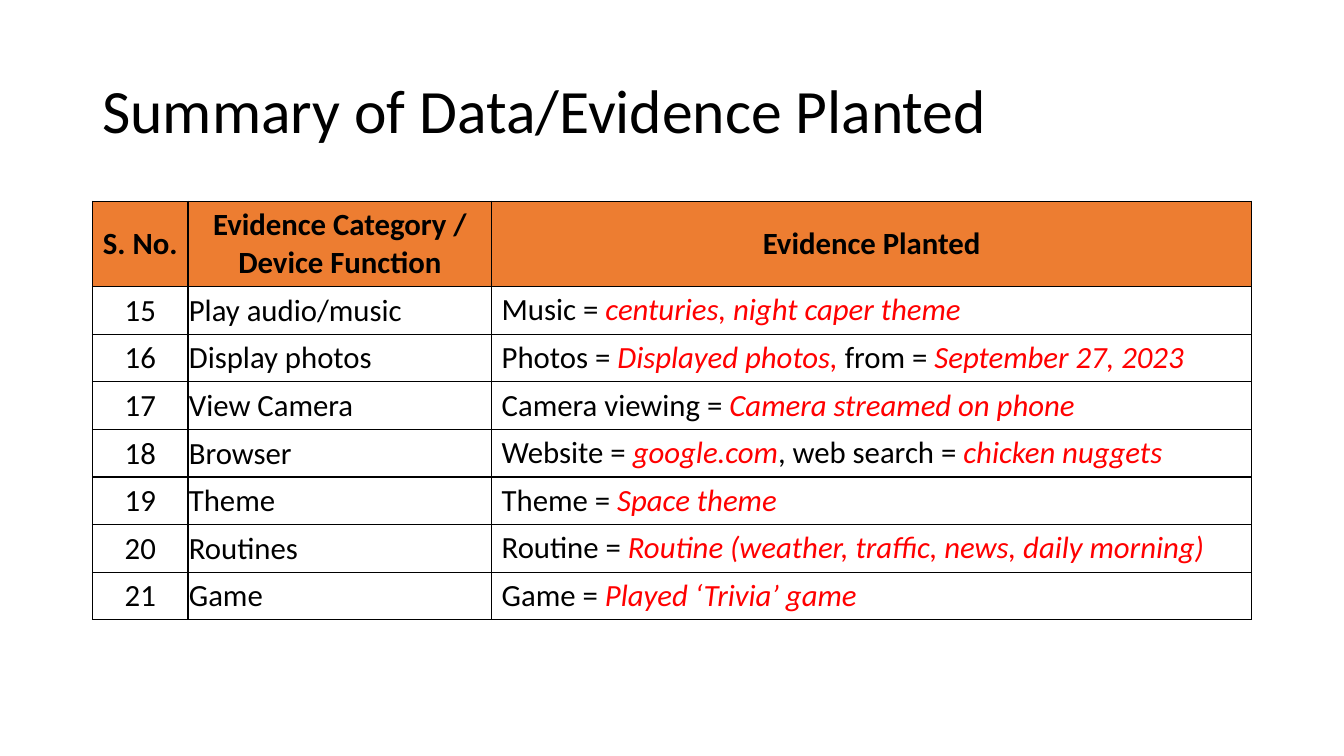
from dataclasses import dataclass

from lxml.etree import SubElement
from pptx import Presentation
from pptx.dml.color import RGBColor
from pptx.enum.text import MSO_ANCHOR, PP_ALIGN
from pptx.oxml.ns import qn
from pptx.util import Cm, Pt


@dataclass(frozen=True)
class Theme:
    font: str = "Calibri"
    title_size: int = 44
    table_size: int = 22
    text: str = "000000"
    planted: str = "FF0000"
    header: str = "ED7D31"
    border: str = "000000"


THEME = Theme()
COLUMN_WIDTHS = [2.41, 7.65, 19.15]
HEADER_HEIGHT = 2.15
ROW_HEIGHT = 1.2
FIRST_NUMBER = 15
HEADINGS = ["S. No.", "Evidence Category / Device Function", "Evidence Planted"]
EVIDENCE = [
    ("Play audio/music", ["Music =", " centuries, night caper theme"]),
    ("Display photos", ["Photos = ", "Displayed photos, ", "from = ", "September 27, 2023"]),
    ("View Camera", ["Camera viewing = ", "Camera streamed on phone"]),
    ("Browser", ["Website = ", "google.com", ", web search = ", "chicken nuggets"]),
    ("Theme", ["Theme = ", "Space theme"]),
    ("Routines", ["Routine = ", "Routine (weather, traffic, news, daily morning)"]),
    ("Game", ["Game = ", "Played ‘Trivia’ game"]),
]


def add_text(paragraph, text, size=THEME.table_size, color=THEME.text, bold=False, italic=False):
    run = paragraph.add_run()
    run.text = text
    run.font.name = THEME.font
    run.font.size = Pt(size)
    run.font.bold = bold
    run.font.italic = italic
    run.font.color.rgb = RGBColor.from_string(color)


def add_title(slide, text):
    box = slide.shapes.add_textbox(Cm(2.33), Cm(1.01), Cm(29.21), Cm(3.68))
    frame = box.text_frame
    frame.word_wrap = True
    frame.vertical_anchor = MSO_ANCHOR.MIDDLE
    paragraph = frame.paragraphs[0]
    paragraph.line_spacing = 0.9
    add_text(paragraph, text, size=THEME.title_size)


def set_borders(cell):
    properties = cell._tc.get_or_add_tcPr()
    for side in ("a:lnL", "a:lnR", "a:lnT", "a:lnB"):
        line = SubElement(properties, qn(side), w=str(Pt(1)))
        fill = SubElement(line, qn("a:solidFill"))
        SubElement(fill, qn("a:srgbClr"), val=THEME.border)


def fill_cell(cell, texts, align=PP_ALIGN.LEFT, anchor=MSO_ANCHOR.MIDDLE,
              bold=False, background=None, tight=False):
    set_borders(cell)
    if background:
        cell.fill.solid()
        cell.fill.fore_color.rgb = RGBColor.from_string(background)
    else:
        cell.fill.background()
    cell.vertical_anchor = anchor
    if tight:
        cell.margin_left = cell.margin_right = cell.margin_top = Cm(0.02)
        cell.margin_bottom = Cm(0)
    paragraph = cell.text_frame.paragraphs[0]
    paragraph.alignment = align
    for index, text in enumerate(texts):
        planted = index % 2 == 1
        color = THEME.planted if planted else THEME.text
        add_text(paragraph, text, color=color, bold=bold, italic=planted)


def add_evidence_table(slide):
    row_heights = [HEADER_HEIGHT] + [ROW_HEIGHT] * len(EVIDENCE)
    frame = slide.shapes.add_table(len(row_heights), len(HEADINGS), Cm(2.33), Cm(5.07),
                                   Cm(sum(COLUMN_WIDTHS)), Cm(sum(row_heights)))
    table = frame.table
    table.horz_banding = False
    for column, width in zip(table.columns, COLUMN_WIDTHS):
        column.width = Cm(width)
    for row, height in zip(table.rows, row_heights):
        row.height = Cm(height)
    for column, heading in enumerate(HEADINGS):
        fill_cell(table.cell(0, column), [heading], align=PP_ALIGN.CENTER,
                  bold=True, background=THEME.header)
    for row, (category, details) in enumerate(EVIDENCE, start=1):
        number = str(FIRST_NUMBER + row - 1)
        fill_cell(table.cell(row, 0), [number], align=PP_ALIGN.CENTER, tight=True)
        fill_cell(table.cell(row, 1), [category], tight=True)
        fill_cell(table.cell(row, 2), details, anchor=MSO_ANCHOR.TOP)


def main():
    presentation = Presentation()
    presentation.slide_width = Cm(33.87)
    presentation.slide_height = Cm(19.05)
    slide = presentation.slides.add_slide(presentation.slide_layouts[6])
    add_title(slide, "Summary of Data/Evidence Planted")
    add_evidence_table(slide)
    presentation.save("out.pptx")


if __name__ == "__main__":
    main()
